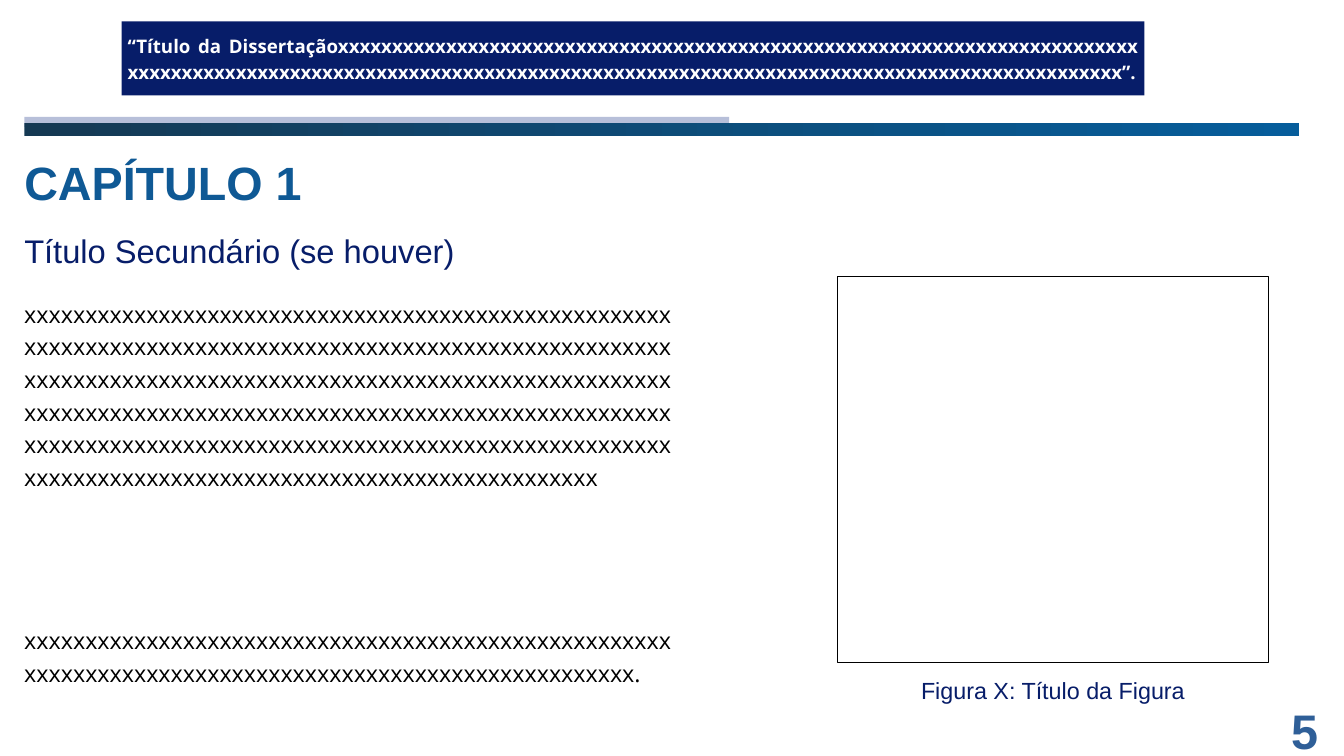
from pptx import Presentation
from pptx.dml.color import RGBColor
from pptx.enum.shapes import MSO_SHAPE
from pptx.enum.text import PP_ALIGN
from pptx.util import Pt

HUES = {
    "navy": "071D69", "pale": "B7BFD9", "dark": "153953", "blue": "065D9B",
    "white": "FEFEFE", "title": "0F5995", "black": "000000", "page": "2F5F98",
}
STYLES = {
    "header": ({"name": "Open Sans", "size": Pt(20), "bold": True},
               {"line_spacing": Pt(28), "alignment": PP_ALIGN.JUSTIFY}, "white"),
    "title": ({"name": "Arial", "size": Pt(50), "bold": True},
              {"line_spacing": Pt(70)}, "title"),
    "second": ({"name": "Arial", "size": Pt(35)},
               {"line_spacing": Pt(49)}, "navy"),
    "body": ({"name": "Open Sans", "size": Pt(25)},
             {"line_spacing": Pt(35), "alignment": PP_ALIGN.JUSTIFY}, "black"),
    "caption": ({"name": "Arial", "size": Pt(25)},
                {"line_spacing": Pt(35), "alignment": PP_ALIGN.CENTER}, "navy"),
    "page": ({"name": "Arial", "size": Pt(52), "bold": True},
             {"line_spacing": Pt(72.8), "alignment": PP_ALIGN.CENTER}, "page"),
}
LEFT, WIDE = 26, 1366


def color(name):
    return RGBColor.from_string(HUES[name])


def add_rect(slide, box, fill=None, line=None):
    rect = slide.shapes.add_shape(MSO_SHAPE.RECTANGLE, *map(Pt, box))
    rect.shadow.inherit = False
    if fill:
        rect.fill.solid()
        rect.fill.fore_color.rgb = color(fill)
    else:
        rect.fill.background()
    if line:
        rect.line.color.rgb = color(line)
        rect.line.width = Pt(1)
    else:
        rect.line.fill.background()
    return rect


def add_text(slide, box, style, *texts, gap=0):
    """Set one paragraph per text, with gap points between them."""
    font, layout, hue = STYLES[style]
    frame = slide.shapes.add_textbox(*map(Pt, box)).text_frame
    frame.word_wrap = True
    for side in ("left", "top", "right", "bottom"):
        setattr(frame, f"margin_{side}", 0)
    for index, text in enumerate(texts):
        para = frame.paragraphs[0] if index == 0 else frame.add_paragraph()
        if index:
            para.space_before = Pt(gap)
        for key, value in layout.items():
            setattr(para, key, value)
        run = para.add_run()
        run.text = text
        for key, value in font.items():
            setattr(run.font, key, value)
        run.font.color.rgb = color(hue)


def add_header(slide, x, y, w, h):
    add_rect(slide, (x, y, w, h), "navy")
    text = "“Título da Dissertação" + "x" * 74 + " " + "x" * 92 + "”."
    add_text(slide, (x + 6.5, y + 10, w - 13, 55.5), "header", text)


def add_rule(slide, x, y, w):
    """Draw the pale strip and the gradient bar below it."""
    add_rect(slide, (x, y, 755.3, 10.8), "pale")
    bar = add_rect(slide, (x, y + 6.5, w, 13.7), "blue")
    bar.fill.gradient()
    bar.fill.gradient_angle = 0
    for stop, hue in zip(bar.fill.gradient_stops, ("dark", "blue")):
        stop.color.rgb = color(hue)


def add_chapter(slide, x, y, w):
    add_text(slide, (x, y, w, 67), "title", "CAPÍTULO 1")
    add_text(slide, (x, y + 85, w, 47), "second", "Título Secundário (se houver)")
    add_text(slide, (x, y + 161.3, 694.1, 412.6), "body",
             "x" * 312, "x" * 103 + ".", gap=4 * 35)


def add_figure(slide, x, y, w, h):
    add_rect(slide, (x, y, w, h), line="black")
    add_text(slide, (x, y + h + 10, w, 33), "caption", "Figura X: Título da Figura")


def main():
    deck = Presentation()
    deck.slide_width, deck.slide_height = Pt(1440), Pt(810)
    slide = deck.slides.add_slide(deck.slide_layouts[6])
    add_header(slide, 130.3, 23, 1095.8, 79.2)
    add_rule(slide, LEFT, 125.3, WIDE)
    add_chapter(slide, LEFT, 154.8, WIDE)
    add_figure(slide, 897.1, 296, 462, 414)
    add_text(slide, (1381.7, 740.9, 32.4, 69.1), "page", "5")
    deck.save("out.pptx")


if __name__ == "__main__":
    main()
